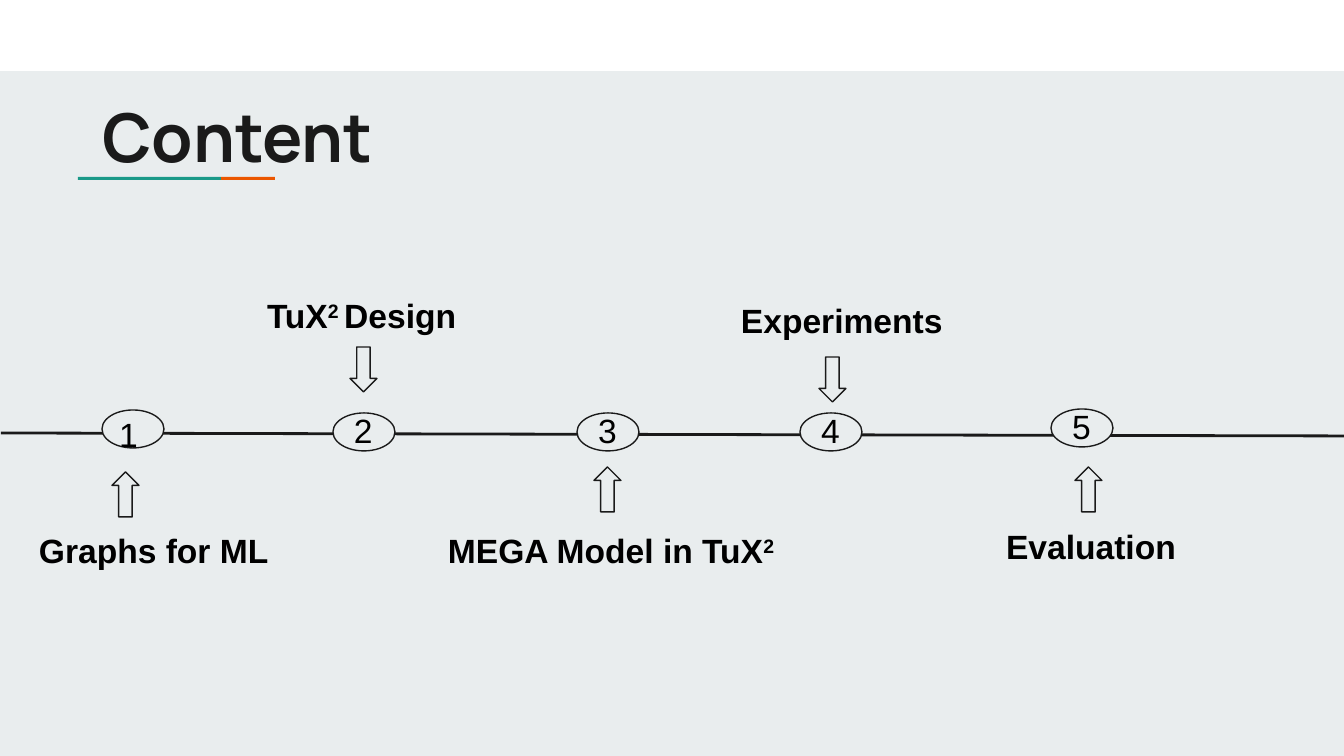
from lxml import etree
from pptx import Presentation
from pptx import util as u
from pptx.dml.color import RGBColor
from pptx.enum import shapes, text
from pptx.oxml.ns import qn

INK, PALE, TEAL, ORANGE = "1A1A1A", "E9EDEE", "1A9988", "EB5600"
WIDTH, HEIGHT = 1344, 756
INSET = 13
NODE_WIDTH, NODE_HEIGHT = 62, 38
ARROW_WIDTH, ARROW_HEIGHT = 27, 45


def px(length):
    return u.Emu(round(length * 9144000 / WIDTH))


def color(value):
    return RGBColor.from_string(value)


def add_span(para, words, size=18, font="Arial", ink="000000", bold=False, raised=False):
    span = para.add_run()
    span.text = words
    span.font.size = u.Pt(size)
    span.font.name = font
    span.font.bold = bold
    span.font.color.rgb = color(ink)
    if raised:
        span._r.get_or_add_rPr().set("baseline", "30000")


class Painter:
    def __init__(self, page, background):
        self.page = page
        page.background.fill.solid()
        page.background.fill.fore_color.rgb = color(background)

    def shape(self, kind, left, top, width, height, fill=PALE, line=None):
        item = self.page.shapes.add_shape(kind, px(left), px(top), px(width), px(height))
        item.shadow.inherit = False
        item.fill.solid()
        item.fill.fore_color.rgb = color(fill)
        if line:
            item.line.color.rgb = color(line)
            item.line.width = u.Pt(0.75)
        else:
            item.line.fill.background()
        return item

    def line(self, start, end):
        link = self.page.shapes.add_connector(
            shapes.MSO_CONNECTOR.STRAIGHT, *map(px, start + end))
        link.line.color.rgb = color(INK)
        link.line.width = u.Pt(1.5)
        etree.SubElement(link._element.spPr, qn("a:effectLst"))

    def text(self, parts, left, top, width, height, **style):
        """Each part is a pair: the words, and whether they are raised."""
        box = self.page.shapes.add_textbox(px(left), px(top), px(width), px(height))
        frame = box.text_frame
        frame.word_wrap = True
        frame.vertical_anchor = text.MSO_ANCHOR.TOP
        frame.margin_left = frame.margin_right = px(INSET)
        frame.margin_top = frame.margin_bottom = px(INSET)
        for words, raised in parts:
            add_span(frame.paragraphs[0], words, raised=raised, **style)


def main():
    deck = Presentation()
    deck.slide_width, deck.slide_height = px(WIDTH), px(HEIGHT)
    painter = Painter(deck.slides.add_slide(deck.slide_layouts[6]), PALE)
    preset = shapes.MSO_SHAPE

    # Top band, title and its two-colour rule
    painter.shape(preset.RECTANGLE, 0, 0, WIDTH, 71, fill="FFFFFF")
    painter.shape(preset.RECTANGLE, 78, 177, 143, 3, fill=TEAL)
    painter.shape(preset.RECTANGLE, 221, 177, 54, 3, fill=ORANGE)
    painter.text([("Content", False)], 89, 82, 1120, 120,
                 size=36, font="Manrope", ink=INK, bold=True)

    # Timeline
    painter.line((1, 433), (WIDTH, 436))

    # Steps: node corner, digit offset, arrow kind and corner, label and its box
    up, down = preset.UP_ARROW, preset.DOWN_ARROW
    steps = [
        ((102, 410), (4, -9), up, (112, 472),
         [("Graphs for ML", False)], (26, 517, 277)),
        ((333, 413), (8, -16), down, (350, 347),
         [("TuX", False), ("2 ", True), ("Design", False)], (254, 282, 253)),
        ((577, 413), (8, -16), up, (594, 467),
         [("MEGA Model in TuX", False), ("2", True)], (435, 517, 387)),
        ((800, 413), (8, -16), down, (819, 357),
         [("Experiments", False)], (728, 287, 234)),
        ((1051, 409), (8, -16), up, (1075, 467),
         [("Evaluation", False)], (993, 513, 208)),
    ]
    for number, (node, offset, arrow, corner, label, place) in enumerate(steps, 1):
        painter.shape(preset.OVAL, *node, NODE_WIDTH, NODE_HEIGHT, line=INK)
        painter.text([(str(number), False)],
                     node[0] + offset[0], node[1] + offset[1], 46, 64)
        painter.shape(arrow, *corner, ARROW_WIDTH, ARROW_HEIGHT, line=INK)
        painter.text(label, *place, 64, bold=True)

    deck.save("out.pptx")


if __name__ == "__main__":
    main()
